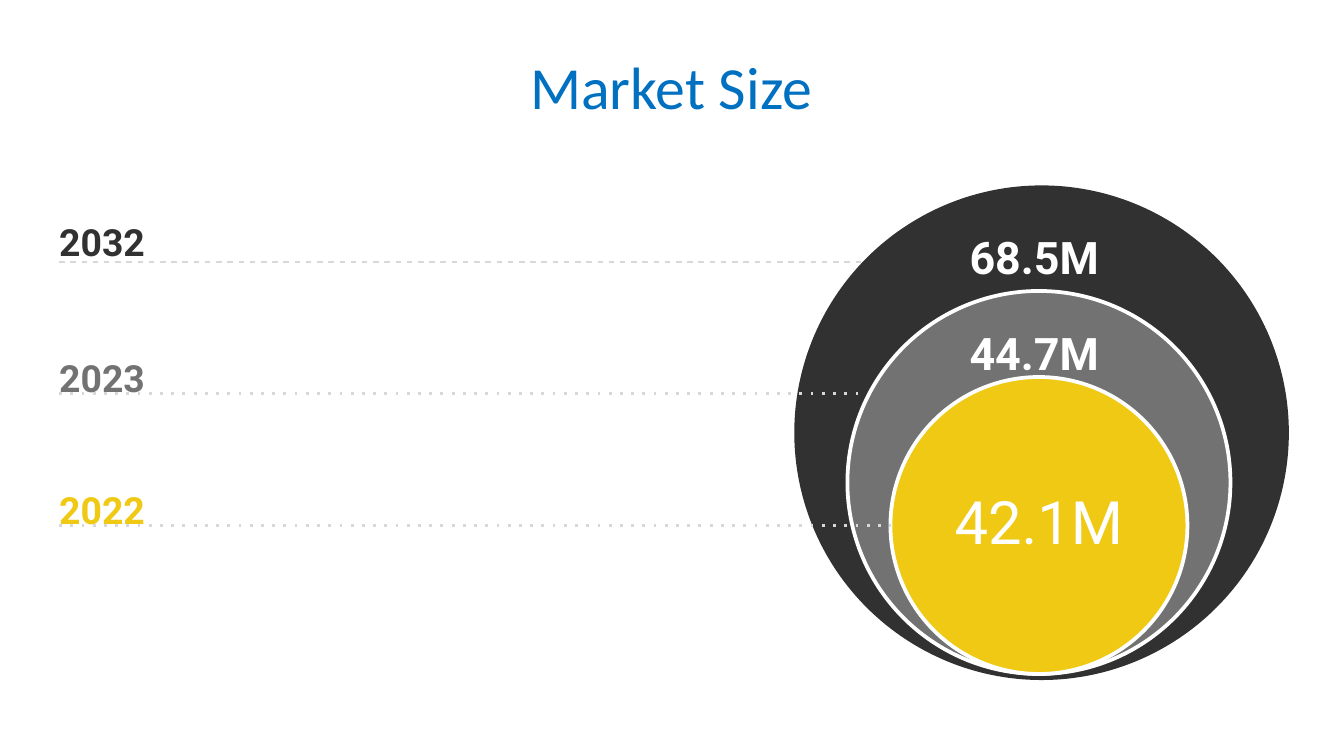
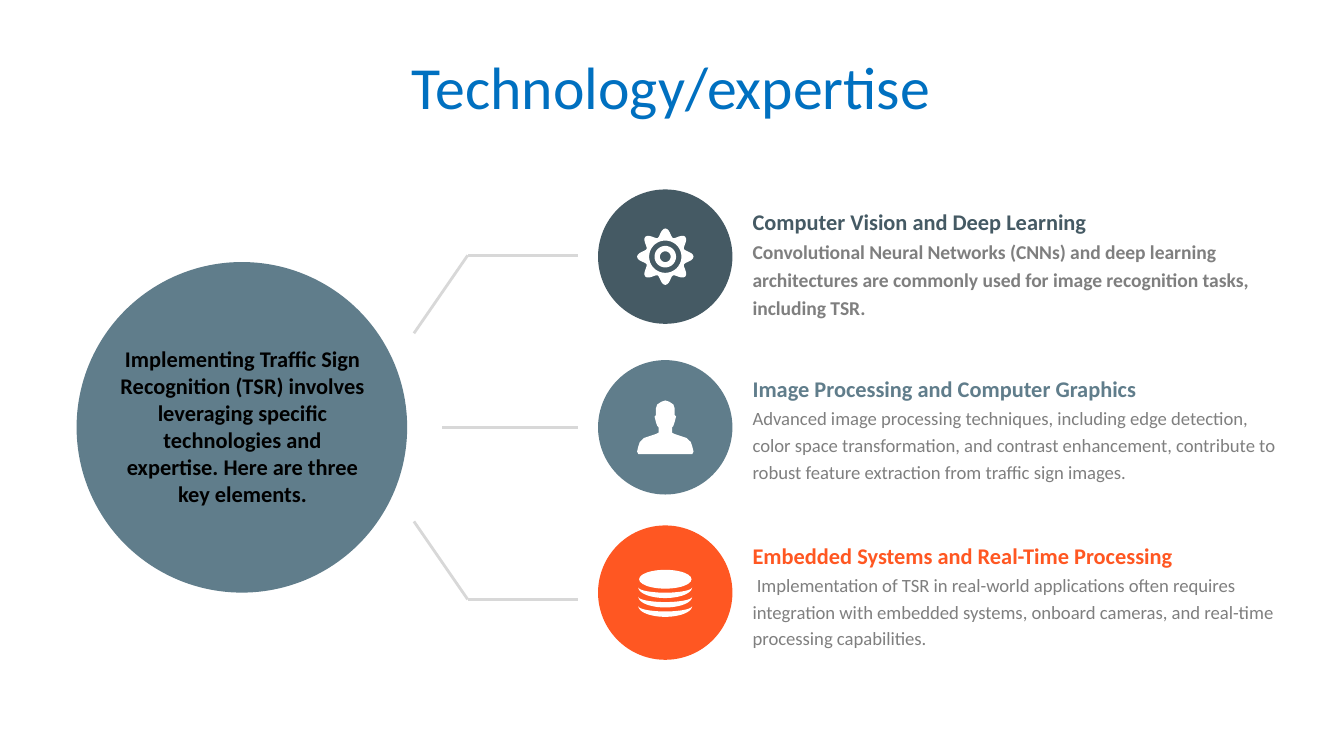
from dataclasses import dataclass
from math import cos, pi, sin

from lxml import etree
from pptx import Presentation
from pptx.dml.color import RGBColor
from pptx.enum.shapes import MSO_CONNECTOR, MSO_SHAPE
from pptx.enum.text import MSO_ANCHOR, MSO_AUTO_SIZE, PP_ALIGN
from pptx.oxml.ns import qn
from pptx.util import Inches, Pt

STRAIGHT = MSO_CONNECTOR.STRAIGHT
OVAL = MSO_SHAPE.OVAL
MIDDLE, TOP = MSO_ANCHOR.MIDDLE, MSO_ANCHOR.TOP
LEFT, CENTER = PP_ALIGN.LEFT, PP_ALIGN.CENTER
NO_FIT = MSO_AUTO_SIZE.NONE
TITLE_ONLY = 5


@dataclass(frozen=True)
class Theme:
    """Colours, fonts and type sizes shared by the slides."""
    title: str = "0070C0"
    white: str = "FFFFFF"
    black: str = "000000"
    rule: str = "D8D8D8"
    body: str = "7F7F7F"
    charcoal: str = "313131"
    gray: str = "727272"
    yellow: str = "EFC914"
    slate: str = "455A64"
    steel: str = "607D8B"
    orange: str = "FF5722"
    text_font: str = "Calibri"
    number_font: str = "Roboto"
    title_size: float = 32
    value_size: float = 24
    year_size: float = 20
    heading_size: float = 12
    body_size: float = 10
    rule_width: float = 1.5
    outline_width: float = 2


THEME = Theme()


def format_span(span, size, color, bold=False, font=THEME.text_font):
    """Format one run of text."""
    span.font.size = Pt(size)
    span.font.name = font
    span.font.bold = bold
    span.font.color.rgb = RGBColor.from_string(color)


def format_para(para, size, color, bold=False, font=THEME.text_font, align=LEFT, spacing=None):
    """Format a paragraph and all its runs."""
    para.alignment = align
    if spacing:
        para.line_spacing = spacing
    for span in para.runs:
        format_span(span, size, color, bold, font)


def set_frame(frame, anchor=MIDDLE, inset_x=0, inset_y=0):
    """Wrap a text frame and set its anchor and insets."""
    frame.word_wrap = True
    frame.auto_size = NO_FIT
    frame.vertical_anchor = anchor
    frame.margin_left = frame.margin_right = Inches(inset_x)
    frame.margin_top = frame.margin_bottom = Inches(inset_y)


def add_text(page, left, top, width, height, text, **frame_options):
    """Add a text box and return its paragraph."""
    box = page.shapes.add_textbox(Inches(left), Inches(top), Inches(width), Inches(height))
    set_frame(box.text_frame, **frame_options)
    para = box.text_frame.paragraphs[0]
    para.text = text
    return para


def add_page(deck, title):
    """Add a slide with the shared title style."""
    page = deck.slides.add_slide(deck.slide_layouts[TITLE_ONLY])
    box = page.shapes.title
    box.left, box.top, box.width, box.height = map(Inches, (0.42, 0.37, 9.15, 0.54))
    set_frame(box.text_frame)
    box.text_frame.text = title
    format_para(box.text_frame.paragraphs[0], THEME.title_size, THEME.title, align=CENTER)
    return page


def paint(shape, fill, outline=None):
    """Give a shape a flat fill and an optional outline."""
    shape.shadow.inherit = False
    shape.fill.solid()
    shape.fill.fore_color.rgb = RGBColor.from_string(fill)
    if outline:
        shape.line.color.rgb = RGBColor.from_string(outline)
        shape.line.width = Pt(THEME.outline_width)
    else:
        shape.line.fill.background()


def add_ellipse(page, center_x, center_y, width, height, fill, outline=None):
    """Add a filled ellipse placed by its centre."""
    shape = page.shapes.add_shape(
        OVAL, Inches(center_x - width / 2), Inches(center_y - height / 2), Inches(width), Inches(height))
    paint(shape, fill, outline)
    return shape


def add_outline(page, center_x, center_y, contours, fill):
    """Add a freeform from closed contours relative to a centre."""
    placed = [[(Inches(center_x + x), Inches(center_y + y)) for x, y in contour] for contour in contours]
    builder = page.shapes.build_freeform(*placed[0][0])
    builder.add_line_segments(placed[0][1:], close=True)
    for contour in placed[1:]:
        builder.move_to(*contour[0])
        builder.add_line_segments(contour[1:], close=True)
    paint(builder.convert_to_shape(), fill)


def add_rule(page, start, end, dotted=False):
    """Add a thin straight line, optionally dotted."""
    rule = page.shapes.add_connector(STRAIGHT, *map(Inches, (*start, *end)))
    rule.line.color.rgb = RGBColor.from_string(THEME.rule)
    rule.line.width = Pt(THEME.rule_width)
    properties = rule.element.spPr
    if dotted:
        etree.SubElement(properties.find(qn("a:ln")), qn("a:prstDash"), val="dot")
    etree.SubElement(properties, qn("a:effectLst"))


def polar_contour(radius, wave=0, teeth=8, steps=96):
    """Return a circle whose radius may ripple into teeth."""
    angles = [2 * pi * step / steps for step in range(steps)]
    radii = [radius + wave * cos(teeth * angle) for angle in angles]
    return [(r * cos(angle), r * sin(angle)) for r, angle in zip(radii, angles)]


def draw_gear(page, x, y):
    """Draw a gear with a ringed hub."""
    contours = [polar_contour(0.18, 0.03)] + [polar_contour(r) for r in (0.12, 0.08, 0.04)]
    add_outline(page, x, y, contours, THEME.white)


def draw_person(page, x, y):
    """Draw a symmetrical head and shoulders."""
    right = [(0, -0.2), (0.03, -0.19), (0.06, -0.17), (0.07, -0.14), (0.07, -0.09),
             (0.08, -0.08), (0.07, -0.04), (0.06, -0.01), (0.05, 0), (0.05, 0.04),
             (0.07, 0.05), (0.1, 0.06), (0.16, 0.08), (0.19, 0.11), (0.2, 0.14),
             (0.21, 0.18), (0.2, 0.2)]
    left = [(-dx, dy) for dx, dy in reversed(right[1:])]
    add_outline(page, x, y, [right + left], THEME.white)


def draw_coins(page, x, y):
    """Draw a stack of discs seen at an angle."""
    add_ellipse(page, x, y - 0.1, 0.39, 0.14, THEME.white)
    angles = [pi * step / 24 for step in range(25)]
    upper = [(-0.2 * cos(angle), 0.04 * sin(angle)) for angle in angles]
    lower = [(0.2 * cos(angle), 0.08 * sin(angle)) for angle in angles]
    for level in range(3):
        add_outline(page, x, y - 0.04 + 0.07 * level, [upper + lower], THEME.white)


def add_topic(page, center_y, color, draw_icon, heading, body, text_y, body_size, body_bold):
    """Add an icon disc with a heading and description."""
    add_ellipse(page, 4.95, center_y, 1, 1, color)
    draw_icon(page, 4.95, center_y)
    para = add_text(page, 5.6, text_y, 3.9, 0.63, heading + "\v" + body)
    format_para(para, THEME.heading_size, color, True, spacing=1.2)
    format_span(para.runs[1], body_size, THEME.body, body_bold)
    line_break = para.runs[0].font
    for mark in para.runs[0]._r.getparent().findall(qn("a:br")):
        etree.SubElement(mark, qn("a:rPr"), sz=str(int(line_break.size.pt * 100)))


def build_market(deck):
    """Build the market size slide."""
    page = add_page(deck, "Market Size")
    add_ellipse(page, 7.75, 3.22, 3.68, 3.68, THEME.charcoal)
    add_ellipse(page, 7.73, 3.59, 2.85, 2.85, THEME.gray, THEME.white)
    core = add_ellipse(page, 7.73, 3.91, 2.21, 2.21, THEME.yellow, THEME.white)
    set_frame(core.text_frame)
    core.text_frame.text = "42.1M"
    format_para(core.text_frame.paragraphs[0], THEME.title_size, THEME.white,
                font=THEME.number_font, align=CENTER, spacing=0.9)
    for value, top in (("68.5M", 1.61), ("44.7M", 2.32)):
        para = add_text(page, 6.77, top, 1.85, 0.48, value)
        format_para(para, THEME.value_size, THEME.white, True, THEME.number_font, CENTER, 1.3)
    years = (
        ("2032", THEME.charcoal, 1.55, 1.95, ((0.44, 6.42), (0.46, 6.44))),
        ("2023", THEME.gray, 2.56, 2.93, ((0.44, 6.42),)),
        ("2022", THEME.yellow, 3.54, 3.91, ((0.44, 6.63),)),
    )
    for year, color, top, rule_y, spans in years:
        para = add_text(page, 0.44, top, 1.85, 0.4, year)
        format_para(para, THEME.year_size, color, True, THEME.number_font, spacing=1.3)
        for start, end in spans:
            add_rule(page, (start, rule_y), (end, rule_y), dotted=True)


def build_technology(deck):
    """Build the technology and expertise slide."""
    page = add_page(deck, "Technology/expertise")
    middle = 3.18
    for side in (-1, 1):
        bend = (3.48, middle + side * 1.28)
        add_rule(page, (4.3, bend[1]), bend)
        add_rule(page, bend, (3.08, middle + side * 0.7))
    add_rule(page, (4.3, middle), (3.29, middle))
    topics = (
        (1.91, THEME.slate, draw_gear, "Computer Vision and Deep Learning",
         "Convolutional Neural Networks (CNNs) and deep learning architectures are commonly used "
         "for image recognition tasks, including TSR.", 1.63, 10.5, True),
        (middle, THEME.steel, draw_person, "Image Processing and Computer Graphics",
         "Advanced image processing techniques, including edge detection, color space transformation, "
         "and contrast enhancement, contribute to robust feature extraction from traffic sign images.",
         2.86, THEME.body_size, False),
        (4.41, THEME.orange, draw_coins, "Embedded Systems and Real-Time Processing",
         " Implementation of TSR in real-world applications often requires integration with embedded "
         "systems, onboard cameras, and real-time processing capabilities.",
         4.1, THEME.body_size, False),
    )
    for topic in topics:
        add_topic(page, *topic)
    add_ellipse(page, 1.8, middle, 2.46, 2.46, THEME.steel)
    para = add_text(
        page, 0.79, 2.52, 2.03, 1.31,
        "Implementing Traffic Sign Recognition (TSR) involves leveraging specific technologies "
        "and expertise. Here are three key elements.", anchor=TOP, inset_x=0.1, inset_y=0.05)
    format_para(para, THEME.heading_size, THEME.black, True, align=CENTER)


def main():
    """Build and save the deck."""
    deck = Presentation()
    deck.slide_width = Inches(10)
    deck.slide_height = deck.slide_width * 9 // 16
    build_market(deck)
    build_technology(deck)
    deck.save("out.pptx")


if __name__ == "__main__":
    main()
